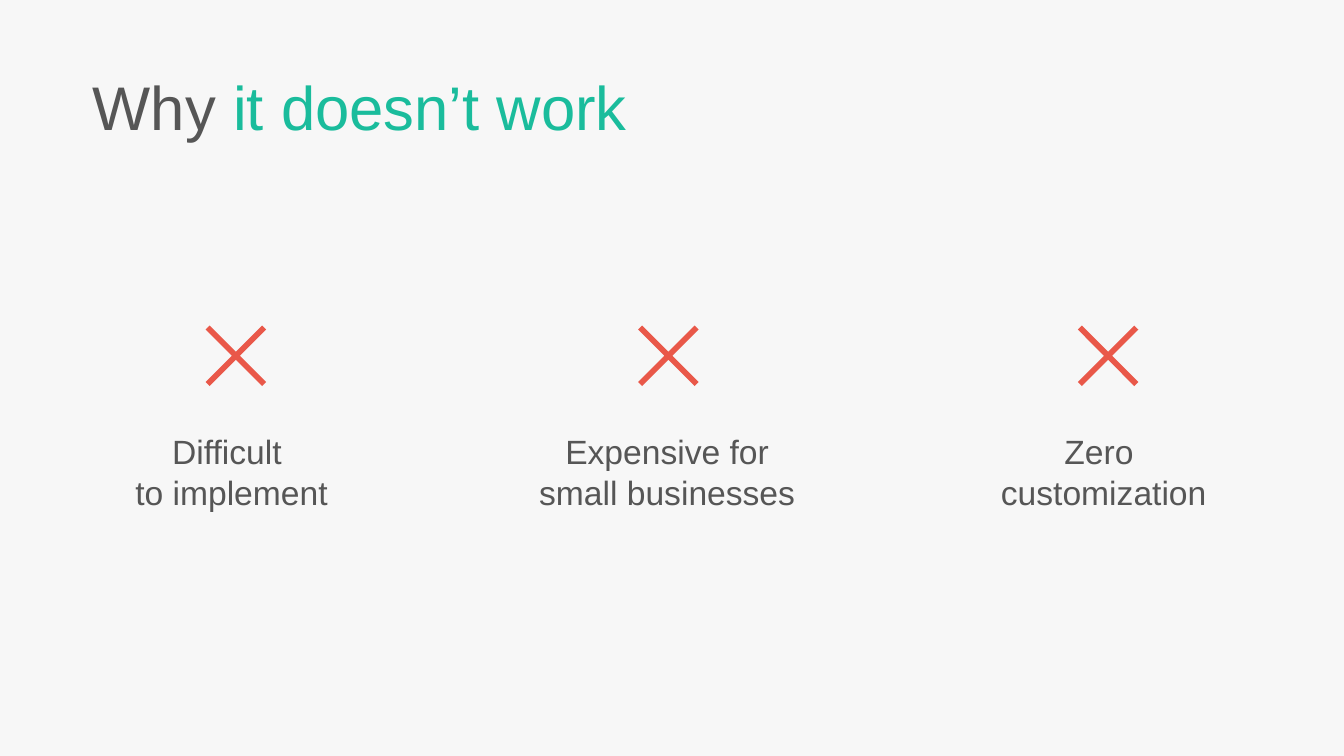
from pptx import Presentation
from pptx.dml.color import RGBColor
from pptx.enum.text import MSO_AUTO_SIZE, PP_ALIGN
from pptx.util import Inches, Pt

CENTER = PP_ALIGN.CENTER
LEFT = PP_ALIGN.LEFT
GROW = MSO_AUTO_SIZE.SHAPE_TO_FIT_TEXT
PAPER = RGBColor(0xF7, 0xF7, 0xF7)
GRAY = RGBColor(0x56, 0x56, 0x56)
GREEN = RGBColor(0x1A, 0xBC, 0x9C)
RED = RGBColor(0xE9, 0x58, 0x49)

deck = Presentation()
deck.slide_width = Inches(13.33)
deck.slide_height = Inches(7.5)
slide = deck.slides.add_slide(deck.slide_layouts[6])
slide.background.fill.solid()
slide.background.fill.fore_color.rgb = PAPER


def add_text(runs, left, top, width, height, size=24, align=CENTER):
    box = slide.shapes.add_textbox(
        Inches(left), Inches(top), Inches(width), Inches(height))
    frame = box.text_frame
    frame.word_wrap = True
    frame.auto_size = GROW
    frame.margin_left = 0
    para = frame.paragraphs[0]
    para.alignment = align
    for index, (text, color) in enumerate(runs):
        for part, line in enumerate(text.split("\n")):
            if part:
                para.add_line_break()
            run = para.add_run()
            run.text = line
            run.font.name = "Arial"
            run.font.size = Pt(size)
            run.font.color.rgb = color
    return para


title = add_text([("Why ", GRAY), ("it doesn’t work", GREEN)],
                 0.92, 0.72, 5.69, 0.77, size=44, align=LEFT)
title.line_spacing = 0.9
title.space_before = Pt(10)

arm = [(0.3, -0.26), (0.26, -0.3), (0, -0.04)]
cross = []
for turn in range(4):
    cross += arm
    arm = [(y, -x) for x, y in arm]

reasons = [
    ("Difficult \nto implement", 0.92, 2.34),
    ("Expensive for small businesses", 5.24, 6.63),
    ("Zero \ncustomization", 9.57, 10.99),
]
for text, left, mid in reasons:
    add_text([(text, GRAY)], left, 4.23, 2.85, 0.91)
    points = [(Inches(mid + x), Inches(3.53 + y)) for x, y in cross]
    pen = slide.shapes.build_freeform(*points[0])
    pen.add_line_segments(points[1:], close=True)
    mark = pen.convert_to_shape()
    mark.shadow.inherit = False
    mark.fill.solid()
    mark.fill.fore_color.rgb = RED
    mark.line.fill.background()

deck.save("out.pptx")
